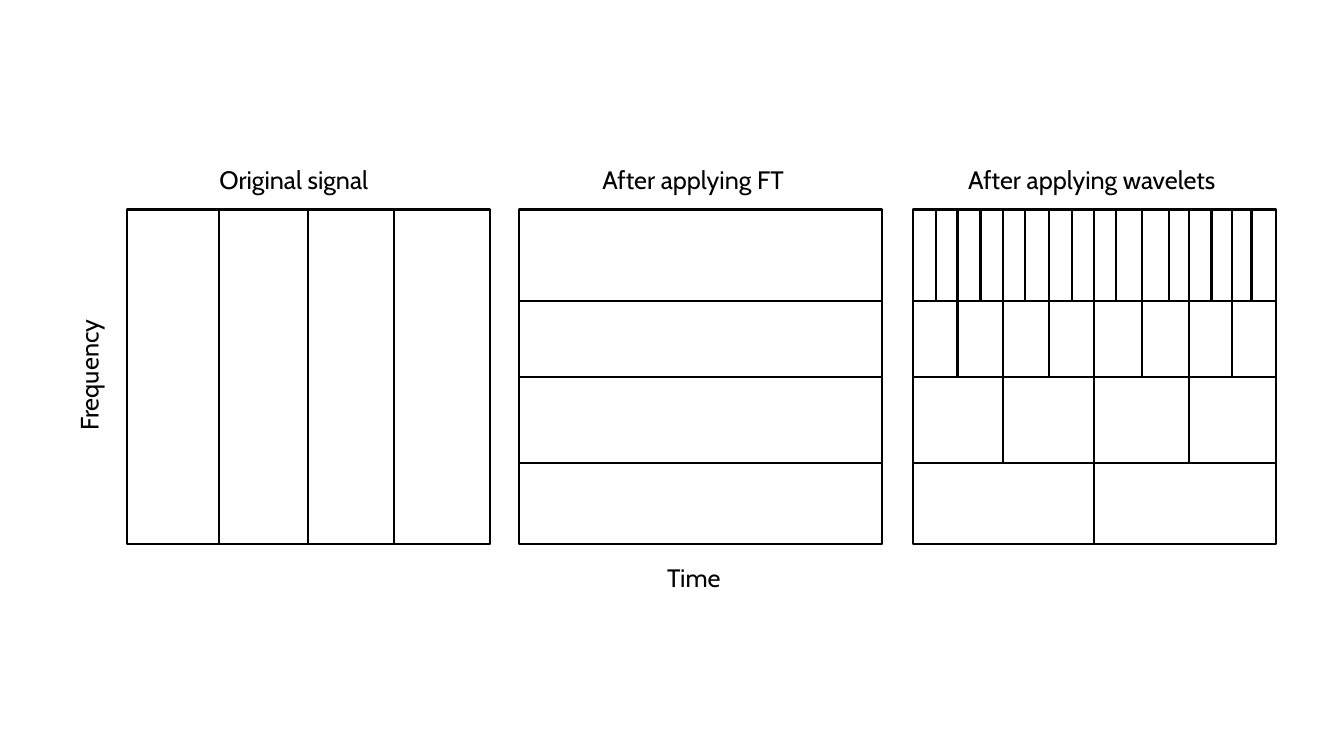
from pptx import Presentation
from pptx.dml.color import RGBColor
from pptx.enum.shapes import MSO_CONNECTOR, MSO_SHAPE
from pptx.enum.text import MSO_AUTO_SIZE
from pptx.oxml.ns import qn
from pptx.util import Cm, Pt
from lxml import etree

BLACK = RGBColor(0x00, 0x00, 0x00)
WHITE = RGBColor(0xFF, 0xFF, 0xFF)
RECTANGLE = MSO_SHAPE.RECTANGLE
STRAIGHT = MSO_CONNECTOR.STRAIGHT
FIT_SHAPE = MSO_AUTO_SIZE.SHAPE_TO_FIT_TEXT
FONT = "Cabin"
LINE_WIDTH = Pt(1.5)

# All lengths are in centimetres; cuts are measured from a panel's left or top.
PANEL_TOP, PANEL_WIDTH, PANEL_HEIGHT = 5.28, 9.14, 8.43
TITLE_RISE = 1.27
TIME_CUTS = [2.31, 4.57, 6.73]
FREQUENCY_CUTS = [2.31, 4.22, 6.38]
WAVELET_CUTS = [0.58, 1.12, 1.7, 2.26, 2.82, 3.43, 4.01, 4.57,
                5.11, 5.77, 6.45, 6.96, 7.52, 8.03, 8.53]


def add_text(slide, text, left, top, width, height=1.03, *,
             size=18, color=BLACK, rotation=0):
    label = slide.shapes.add_textbox(Cm(left), Cm(top), Cm(width), Cm(height))
    label.rotation = rotation
    frame = label.text_frame
    frame.word_wrap = True
    frame.auto_size = FIT_SHAPE
    run = frame.paragraphs[0].add_run()
    run.text = text
    run.font.name = FONT
    run.font.size = Pt(size)
    run.font.color.rgb = color


def add_line(slide, x1, y1, x2, y2):
    line = slide.shapes.add_connector(STRAIGHT, Cm(x1), Cm(y1), Cm(x2), Cm(y2))
    line.line.color.rgb = BLACK
    line.line.width = LINE_WIDTH
    etree.SubElement(line._element.spPr, qn("a:effectLst"))


def add_panel(slide, left, title, title_indent, title_width):
    """Draw an empty time-frequency square with its title above."""
    square = slide.shapes.add_shape(RECTANGLE, Cm(left), Cm(PANEL_TOP),
                                    Cm(PANEL_WIDTH), Cm(PANEL_HEIGHT))
    square.shadow.inherit = False
    square.fill.solid()
    square.fill.fore_color.rgb = WHITE
    square.line.color.rgb = BLACK
    square.line.width = LINE_WIDTH
    add_text(slide, title, left + title_indent, PANEL_TOP - TITLE_RISE, title_width)


def add_column_cut(slide, left, cut, depth=PANEL_HEIGHT):
    add_line(slide, left + cut, PANEL_TOP, left + cut, PANEL_TOP + depth)


def add_row_cuts(slide, left):
    for cut in FREQUENCY_CUTS:
        add_line(slide, left, PANEL_TOP + cut, left + PANEL_WIDTH, PANEL_TOP + cut)


def add_signal_panel(slide, left):
    add_panel(slide, left, "Original signal", 2.08, 5)
    for cut in TIME_CUTS:
        add_column_cut(slide, left, cut)


def add_fourier_panel(slide, left):
    add_panel(slide, left, "After applying FT", 1.85, 5.44)
    add_row_cuts(slide, left)


def add_wavelet_panel(slide, left):
    """Halve the number of columns from each row to the one below it."""
    add_panel(slide, left, "After applying wavelets", 1.14, 6.91)
    add_row_cuts(slide, left)
    row_bottoms = FREQUENCY_CUTS + [PANEL_HEIGHT]
    for number, cut in enumerate(WAVELET_CUTS, start=1):
        rows_crossed = sum(number % 2 ** level == 0 for level in range(4))
        add_column_cut(slide, left, cut, row_bottoms[rows_crossed - 1])


def add_axis_names(slide):
    add_text(slide, "Time", 16.56, 14.05, 2.24)
    add_text(slide, "Frequency", -2.41, 5.94, 9.3, rotation=270)


def main():
    presentation = Presentation()
    presentation.slide_width = Cm(33.87)
    presentation.slide_height = Cm(19.05)
    slide = presentation.slides.add_slide(presentation.slide_layouts[6])
    add_signal_panel(slide, 3.2)
    add_fourier_panel(slide, 13.08)
    add_wavelet_panel(slide, 23.01)
    add_axis_names(slide)
    presentation.save("out.pptx")


if __name__ == "__main__":
    main()
